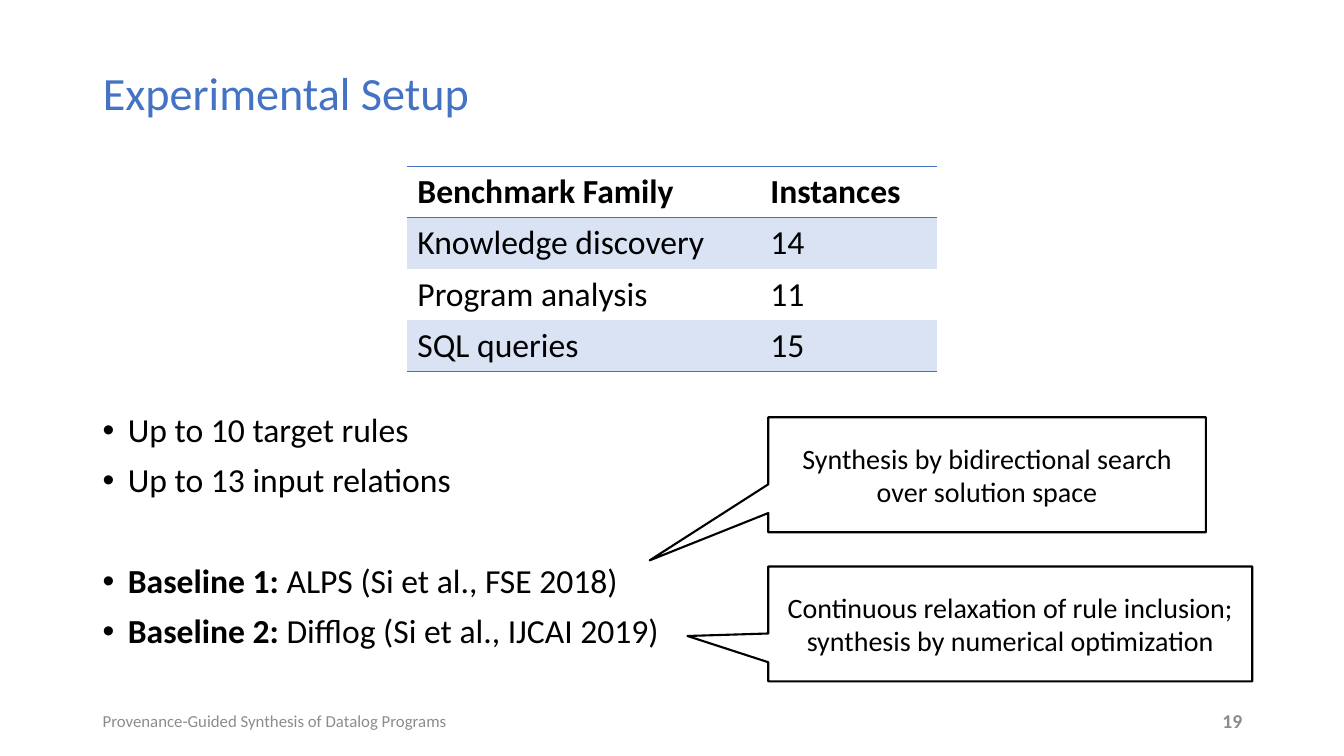
from pptx import Presentation
from pptx.dml.color import RGBColor
from pptx.enum import shapes, text
from pptx.oxml import ns
from pptx.util import Inches, Pt
from lxml import etree

COLORS = {"accent": "4472C4", "band": "DAE3F3", "black": "000000",
          "grey": "8C8C8C", "white": "FFFFFF"}
FONT = "Calibri"
NO_STYLE_NO_GRID = "{2D5ABB26-0587-4C30-8999-92F81FD0307C}"
TITLE_ONLY = 5

BENCHMARKS = [("Benchmark Family", "Instances"), ("Knowledge discovery", "14"),
              ("Program analysis", "11"), ("SQL queries", "15")]
# Bold lead, plain text, space before in points
BULLETS = [("", "Up to 10 target rules", 10),
           ("", "Up to 13 input relations", 10),
           ("Baseline 1:", " ALPS (Si et al., FSE 2018)", 46),
           ("Baseline 2: ", "Difflog (Si et al., IJCAI 2019)", 10)]
# Text, top, width, pointer offsets
CALLOUTS = [("Synthesis by bidirectional search over solution space",
             4.14, 4.34, (-0.771, 0.745)),
            ("Continuous relaxation of rule inclusion; "
             "synthesis by numerical optimization",
             5.62, 4.8, (-0.667, 0.105))]


def rgb(name):
    return RGBColor.from_string(COLORS[name])


def box(left, top, width, height):
    return [Inches(length) for length in (left, top, width, height)]


def set_font(paragraph, size, color="black", bold=False):
    font = paragraph.font
    font.name, font.size, font.bold = FONT, Pt(size), bold
    font.color.rgb = rgb(color)


def add_title(slide, content):
    title = slide.shapes.title
    title.left, title.top, title.width, title.height = box(0.92, 0.4, 11.5, 1.1)
    frame = title.text_frame
    frame.text = content
    frame.auto_size = text.MSO_AUTO_SIZE.NONE
    frame.vertical_anchor = text.MSO_ANCHOR.MIDDLE
    paragraph = frame.paragraphs[0]
    paragraph.alignment = text.PP_ALIGN.LEFT
    paragraph.line_spacing = 0.9
    set_font(paragraph, 33, "accent")


def add_text_frame(slide, *bounds):
    frame = slide.shapes.add_textbox(*box(*bounds)).text_frame
    frame.word_wrap = True
    frame.vertical_anchor = text.MSO_ANCHOR.MIDDLE
    return frame


def add_footer(slide, content, left, width, size, align, bold=False):
    paragraph = add_text_frame(slide, left, 6.95, width, 0.4).paragraphs[0]
    paragraph.text = content
    paragraph.alignment = align
    set_font(paragraph, size, "grey", bold)


def add_border(cell, position, tag):
    """Insert a cell border ahead of the fill, as the schema requires."""
    line = etree.Element(ns.qn(tag), w=str(Pt(1)))
    fill = etree.SubElement(line, ns.qn("a:solidFill"))
    etree.SubElement(fill, ns.qn("a:srgbClr"), val=COLORS["accent"])
    cell._tc.get_or_add_tcPr().insert(position, line)


def add_benchmark_table(slide):
    row_count = len(BENCHMARKS)
    frame = slide.shapes.add_table(
        row_count, 2, *box(4.04, 1.65, 5.25, 0.51 * row_count))
    frame._element.find(".//" + ns.qn("a:tableStyleId")).text = NO_STYLE_NO_GRID
    table = frame.table
    table.columns[0].width, table.columns[1].width = Inches(3.5), Inches(1.75)
    for row, values in enumerate(BENCHMARKS):
        for column, value in enumerate(values):
            cell = table.cell(row, column)
            cell.text = value
            set_font(cell.text_frame.paragraphs[0], 24, bold=row == 0)
            if row % 2:
                cell.fill.solid()
                cell.fill.fore_color.rgb = rgb("band")
            else:
                cell.fill.background()
            if row in (0, row_count - 1):
                add_border(cell, 0, "a:lnB")
            if row == 0:
                add_border(cell, 0, "a:lnT")


def add_bullets(slide):
    frame = add_text_frame(slide, 0.92, 3.8, 11.5, 2.96)
    for index, (lead, content, space) in enumerate(BULLETS):
        paragraph = frame.add_paragraph() if index else frame.paragraphs[0]
        paragraph.line_spacing = 0.9
        paragraph.space_before = Pt(space)
        properties = paragraph._p.get_or_add_pPr()
        properties.set("marL", str(Inches(0.25)))
        properties.set("indent", str(Inches(-0.25)))
        etree.SubElement(properties, ns.qn("a:buFont"), typeface="Arial")
        etree.SubElement(properties, ns.qn("a:buChar"), char="•")
        set_font(paragraph, 24)
        if lead:
            run = paragraph.add_run()
            run.text = lead
            run.font.bold = True
        paragraph.add_run().text = content


def add_callout(slide, content, top, width, pointer):
    shape = slide.shapes.add_shape(
        shapes.MSO_SHAPE.RECTANGULAR_CALLOUT, *box(7.62, top, width, 1.14))
    shape.shadow.inherit = False
    shape.adjustments[0], shape.adjustments[1] = pointer
    shape.fill.solid()
    shape.fill.fore_color.rgb = rgb("white")
    shape.line.color.rgb = rgb("black")
    shape.line.width = Pt(1.5)
    frame = shape.text_frame
    frame.word_wrap = True
    frame.vertical_anchor = text.MSO_ANCHOR.MIDDLE
    paragraph = frame.paragraphs[0]
    paragraph.text = content
    paragraph.alignment = text.PP_ALIGN.CENTER
    set_font(paragraph, 20)


def main():
    presentation = Presentation()
    presentation.slide_width = Inches(13.33)
    presentation.slide_height = Inches(7.5)
    slide = presentation.slides.add_slide(presentation.slide_layouts[TITLE_ONLY])
    add_title(slide, "Experimental Setup")
    add_footer(slide, "Provenance-Guided Synthesis of Datalog Programs",
               0.92, 6.5, 12, text.PP_ALIGN.LEFT)
    add_footer(slide, "19", 11.42, 1, 14, text.PP_ALIGN.RIGHT, bold=True)
    add_benchmark_table(slide)
    add_bullets(slide)
    for callout in CALLOUTS:
        add_callout(slide, *callout)
    presentation.save("out.pptx")


if __name__ == "__main__":
    main()
